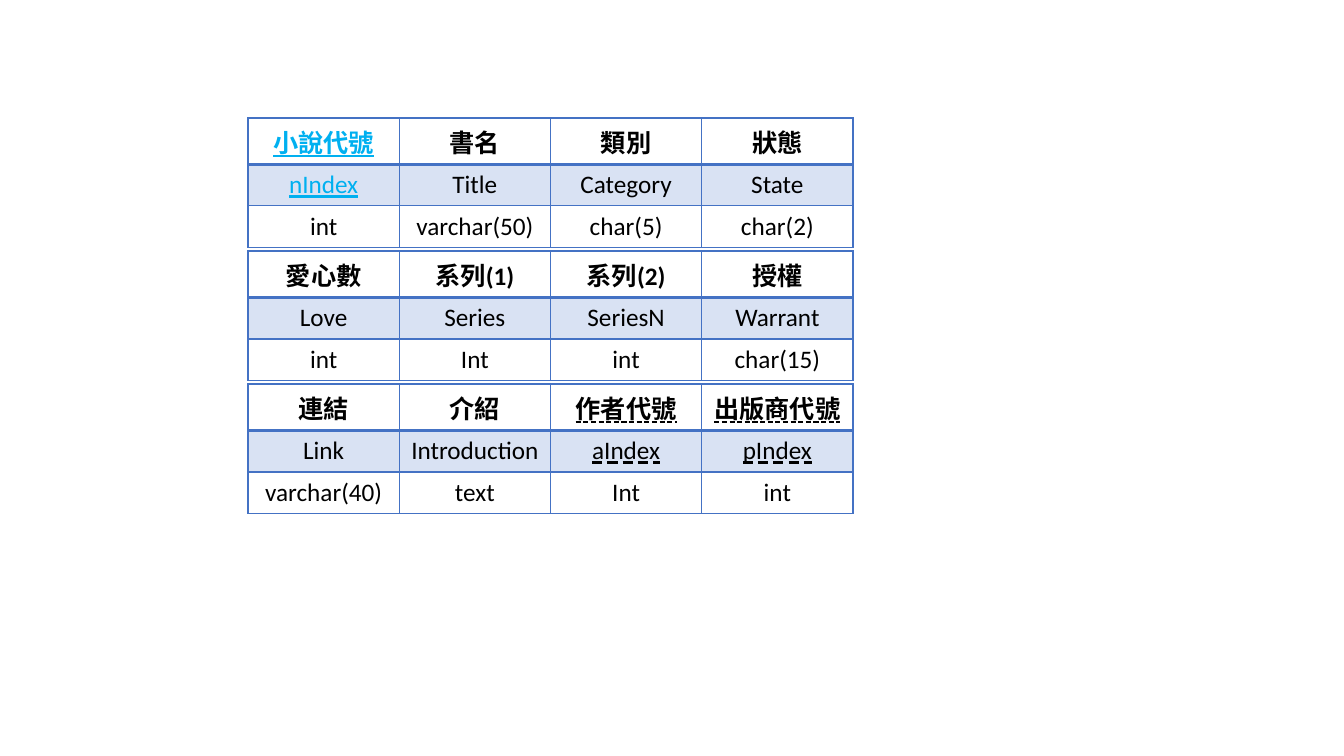
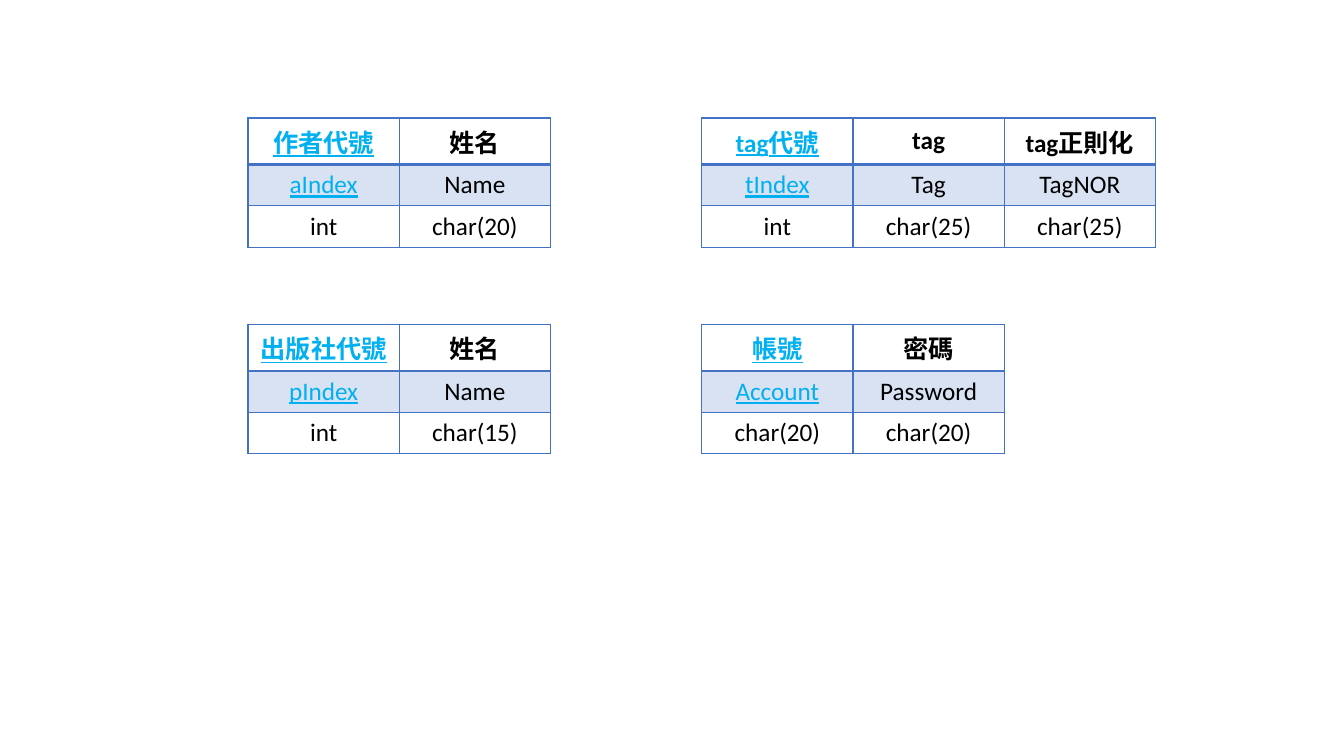
from lxml.etree import SubElement
from pptx import Presentation
from pptx.dml.color import RGBColor
from pptx.enum.text import MSO_ANCHOR as Anchor, MSO_UNDERLINE as Underline, PP_ALIGN as Align
from pptx.oxml.ns import qn
from pptx.util import Inches, Pt

COLORS = {"line": "4472C4", "band": "4472C4", "key": "00B0F0", "text": "000000"}
FONT = "Calibri"
BAND_OPACITY = 20
COLUMN_WIDTH, ROW_HEIGHT = 1.5, 0.41
LEFT, TOP = 2.46, 1.17

# Format of a field's name by its role in the table
ROLES = {
    "plain": {},
    "primary": {"color": "key", "underline": Underline.SINGLE_LINE},
    "foreign": {"underline": Underline.DASH_LINE},
}

# Each field: label, column name, data type and, for a key, its role
NOVEL_TABLES = [
    [("小說代號", "nIndex", "int", "primary"), ("書名", "Title", "varchar(50)"),
     ("類別", "Category", "char(5)"), ("狀態", "State", "char(2)")],
    [("愛心數", "Love", "int"), ("系列(1)", "Series", "Int"),
     ("系列(2)", "SeriesN", "int"), ("授權", "Warrant", "char(15)")],
    [("連結", "Link", "varchar(40)"), ("介紹", "Introduction", "text"),
     ("作者代號", "aIndex", "Int", "foreign"), ("出版商代號", "pIndex", "int", "foreign")],
]
AUTHOR = [("作者代號", "aIndex", "int", "primary"), ("姓名", "Name", "char(20)")]
PUBLISHER = [("出版社代號", "pIndex", "int", "primary"), ("姓名", "Name", "char(15)")]
TAG = [("tag代號", "tIndex", "int", "primary"), ("tag", "Tag", "char(25)"),
       ("tag正則化", "TagNOR", "char(25)")]
ACCOUNT = [("帳號", "Account", "char(20)", "primary"), ("密碼", "Password", "char(20)")]


def write_text(cell, text, color="text", bold=False, underline=False):
    cell.vertical_anchor = Anchor.MIDDLE
    paragraph = cell.text_frame.paragraphs[0]
    paragraph.alignment = Align.CENTER
    run = paragraph.add_run()
    run.text = text
    font = run.font
    font.name, font.size, font.bold, font.underline = FONT, Pt(18), bold, underline
    font.color.rgb = RGBColor.from_string(COLORS[color])


def set_borders(cell, top=1, bottom=1):
    properties = cell._tc.get_or_add_tcPr()
    for side, width in (("L", 1), ("R", 1), ("T", top), ("B", bottom)):
        line = SubElement(properties, qn(f"a:ln{side}"), w=str(Pt(width)))
        fill = SubElement(line, qn("a:solidFill"))
        SubElement(fill, qn("a:srgbClr"), val=COLORS["line"])


def fill_band(cell):
    cell.fill.solid()
    cell.fill.fore_color.rgb = RGBColor.from_string(COLORS["band"])
    color = cell._tc.tcPr.find(qn("a:solidFill")).find(qn("a:srgbClr"))
    SubElement(color, qn("a:alpha"), val=str(BAND_OPACITY * 1000))


def add_schema_table(slide, left, top, fields):
    """Three rows: bold labels, banded column names, data types."""
    table = slide.shapes.add_table(
        3, len(fields), Inches(left), Inches(top),
        Inches(COLUMN_WIDTH * len(fields)), Inches(ROW_HEIGHT * 3)).table
    table.horz_banding = False
    for row in table.rows:
        row.height = Inches(ROW_HEIGHT)
    for column, (label, name, data_type, *role) in enumerate(fields):
        table.columns[column].width = Inches(COLUMN_WIDTH)
        name_format = ROLES[role[0] if role else "plain"]
        header, band, plain = (table.cell(row, column) for row in range(3))
        # Borders, with a heavier rule under the header
        set_borders(header, bottom=2)
        set_borders(band, top=2)
        set_borders(plain)
        # Fills
        header.fill.background()
        fill_band(band)
        plain.fill.background()
        # Text
        write_text(header, label, bold=True, **name_format)
        write_text(band, name, **name_format)
        write_text(plain, data_type)


def add_table_stack(slide, left, top, pitch, tables):
    for index, fields in enumerate(tables):
        add_schema_table(slide, left, top + index * pitch, fields)


def main():
    presentation = Presentation()
    presentation.slide_width, presentation.slide_height = Inches(13.33), Inches(7.5)
    blank = presentation.slide_layouts[6]

    # Novel fields, split over three tables
    novel_slide = presentation.slides.add_slide(blank)
    add_table_stack(novel_slide, LEFT, TOP, 1.32, NOVEL_TABLES)

    # Related tables in two columns
    related_slide = presentation.slides.add_slide(blank)
    for index, tables in enumerate([(AUTHOR, PUBLISHER), (TAG, ACCOUNT)]):
        add_table_stack(related_slide, LEFT + index * 3 * COLUMN_WIDTH, TOP, 2.05, tables)

    presentation.save("out.pptx")


if __name__ == "__main__":
    main()
